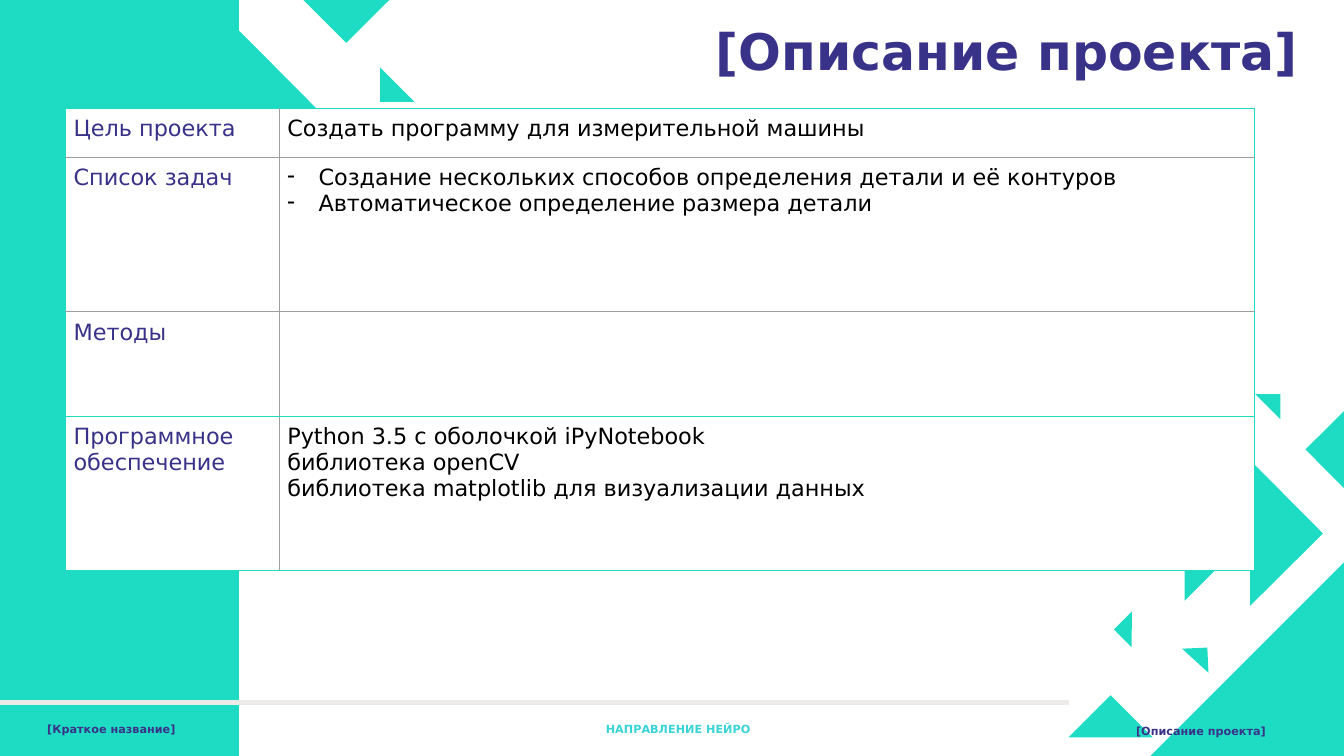
from lxml import etree
from pptx import Presentation
from pptx.dml.color import RGBColor
from pptx.enum.shapes import MSO_CONNECTOR, MSO_SHAPE
from pptx.enum.text import MSO_ANCHOR, MSO_AUTO_SIZE, PP_ALIGN
from pptx.oxml.ns import qn
from pptx.util import Inches, Pt

RECTANGLE = MSO_SHAPE.RECTANGLE
RIGHT_TRIANGLE = MSO_SHAPE.RIGHT_TRIANGLE
STRAIGHT = MSO_CONNECTOR.STRAIGHT
TOP = MSO_ANCHOR.TOP
NO_AUTOFIT = MSO_AUTO_SIZE.NONE
LEFT = PP_ALIGN.LEFT

FONT = "DejaVu Sans"
COLORS = {
    "teal": "1EDCC3",
    "violet": "383288",
    "cyan": "38D4D6",
    "rule": "EDEAE8",
    "grid": "9E9E9E",
    "black": "000000",
    "white": "FFFFFF",
}

TRIANGLES = [
    (11.89, 4.78, 1.02, 225.2),
    (11.39, 5.58, 1.94, 270),
    (13.06, 4.19, 0.54, 45.2),
    (11.1, 6.12, 0.25, 45.2),
    (11.73, 6.43, 0.25, 177.5),
    (12.45, 3.91, 0.25, 180),
    (11.75, 5.6, 0.36, 90),
    (10.72, 7.02, 0.59, 135),
    (3.77, 0.67, 0.34, 0),
    (3.13, -0.31, 0.61, 315),
    (1.8, 0.52, 1.11, 225.2),
]

PROJECT_ROWS = [
    (0.49, "Цель проекта", ["Создать программу для измерительной машины"], False),
    (1.53, "Список задач", [
        "Создание нескольких способов определения детали и её контуров",
        "Автоматическое определение размера детали",
    ], True),
    (1.04, "Методы", [""], False),
    (1.53, "Программное обеспечение", [
        "Python 3.5 с оболочкой iPyNotebook",
        "библиотека openCV",
        "библиотека matplotlib для визуализации данных",
    ], False),
]
COLUMN_WIDTHS = [2.12, 9.67]

FOOTER_LABELS = [
    ("[Описание проекта]", 11.17, 7.14, 1.6, "violet"),
    ("[Краткое название]", 0.37, 7.12, 1.98, "violet"),
    ("НАПРАВЛЕНИЕ НЕЙРО", 5.91, 7.12, 1.71, "cyan"),
]


def rgb(name):
    return RGBColor.from_string(COLORS[name])


def style(paragraph, size, color, bold=False):
    font = paragraph.font
    font.name = FONT
    font.size = Pt(size)
    font.bold = bold
    font.color.rgb = rgb(color)


def add_title(slide, text):
    title = slide.shapes.title
    title.left, title.top = Inches(7), Inches(0.15)
    title.width, title.height = Inches(6.3), Inches(0.71)
    frame = title.text_frame
    frame.text = text
    frame.word_wrap = False
    frame.auto_size = NO_AUTOFIT
    frame.vertical_anchor = TOP
    frame.paragraphs[0].alignment = LEFT
    style(frame.paragraphs[0], 36, "violet", True)


def add_teal_shape(slide, kind, left, top, width, height, rotation=0):
    shape = slide.shapes.add_shape(
        kind, Inches(left), Inches(top), Inches(width), Inches(height))
    shape.rotation = rotation
    shape.shadow.inherit = False
    shape.fill.solid()
    shape.fill.fore_color.rgb = rgb("teal")
    shape.line.fill.background()


def add_footer_rule(slide):
    rule = slide.shapes.add_connector(
        STRAIGHT, Inches(0), Inches(6.97), Inches(10.6), Inches(6.97))
    rule.line.width = Pt(3)
    rule.line.color.rgb = rgb("rule")
    etree.SubElement(rule._element.spPr, qn("a:effectLst"))


def add_label(slide, text, left, top, width, color):
    label = slide.shapes.add_textbox(
        Inches(left), Inches(top), Inches(width), Inches(0.24))
    label.text_frame.word_wrap = True
    label.text_frame.text = text
    style(label.text_frame.paragraphs[0], 8, color, True)


def set_borders(cell, edge_colors):
    properties = cell._tc.get_or_add_tcPr()
    for edge, color in zip("LRTB", edge_colors):
        line = etree.SubElement(properties, qn(f"a:ln{edge}"), w=str(Pt(0.5)))
        fill = etree.SubElement(line, qn("a:solidFill"))
        etree.SubElement(fill, qn("a:srgbClr"), val=COLORS[color])


def add_dash(paragraph):
    properties = paragraph._p.get_or_add_pPr()
    properties.set("marL", str(Inches(0.31)))
    properties.set("indent", str(-Inches(0.31)))
    etree.SubElement(properties, qn("a:buChar"), char="-")


def fill_cell(cell, lines, color, dashed, edge_colors):
    set_borders(cell, edge_colors)
    cell.fill.solid()
    cell.fill.fore_color.rgb = rgb("white")
    cell.margin_left = cell.margin_right = Inches(0.08)
    cell.margin_top = cell.margin_bottom = Inches(0.08)
    cell.text = "\n".join(lines)
    for paragraph in cell.text_frame.paragraphs:
        if dashed:
            add_dash(paragraph)
        style(paragraph, 16, color)


def add_project_table(slide):
    height = sum(row[0] for row in PROJECT_ROWS)
    table = slide.shapes.add_table(
        len(PROJECT_ROWS), len(COLUMN_WIDTHS), Inches(0.65), Inches(1.07),
        Inches(sum(COLUMN_WIDTHS)), Inches(height)).table
    table.first_row = False
    table.horz_banding = False
    for column, width in zip(table.columns, COLUMN_WIDTHS):
        column.width = Inches(width)
    row_lines = ["teal", "grid", "grid", "teal", "teal"]
    for index, (row_height, heading, details, dashed) in enumerate(PROJECT_ROWS):
        table.rows[index].height = Inches(row_height)
        above, below = row_lines[index:index + 2]
        fill_cell(table.cell(index, 0), [heading], "violet", False,
                  ("teal", "grid", above, below))
        fill_cell(table.cell(index, 1), details, "black", dashed,
                  ("grid", "teal", above, below))


def main():
    presentation = Presentation()
    presentation.slide_width = Inches(13.33)
    presentation.slide_height = Inches(7.5)
    slide = presentation.slides.add_slide(presentation.slide_layouts[5])
    add_title(slide, "[Описание проекта]")
    add_teal_shape(slide, RECTANGLE, 0, 0, 2.37, 7.5)
    for left, top, side, rotation in TRIANGLES:
        add_teal_shape(slide, RIGHT_TRIANGLE, left, top, side, side, rotation)
    add_footer_rule(slide)
    add_project_table(slide)
    for label in FOOTER_LABELS:
        add_label(slide, *label)
    presentation.save("out.pptx")


if __name__ == "__main__":
    main()
